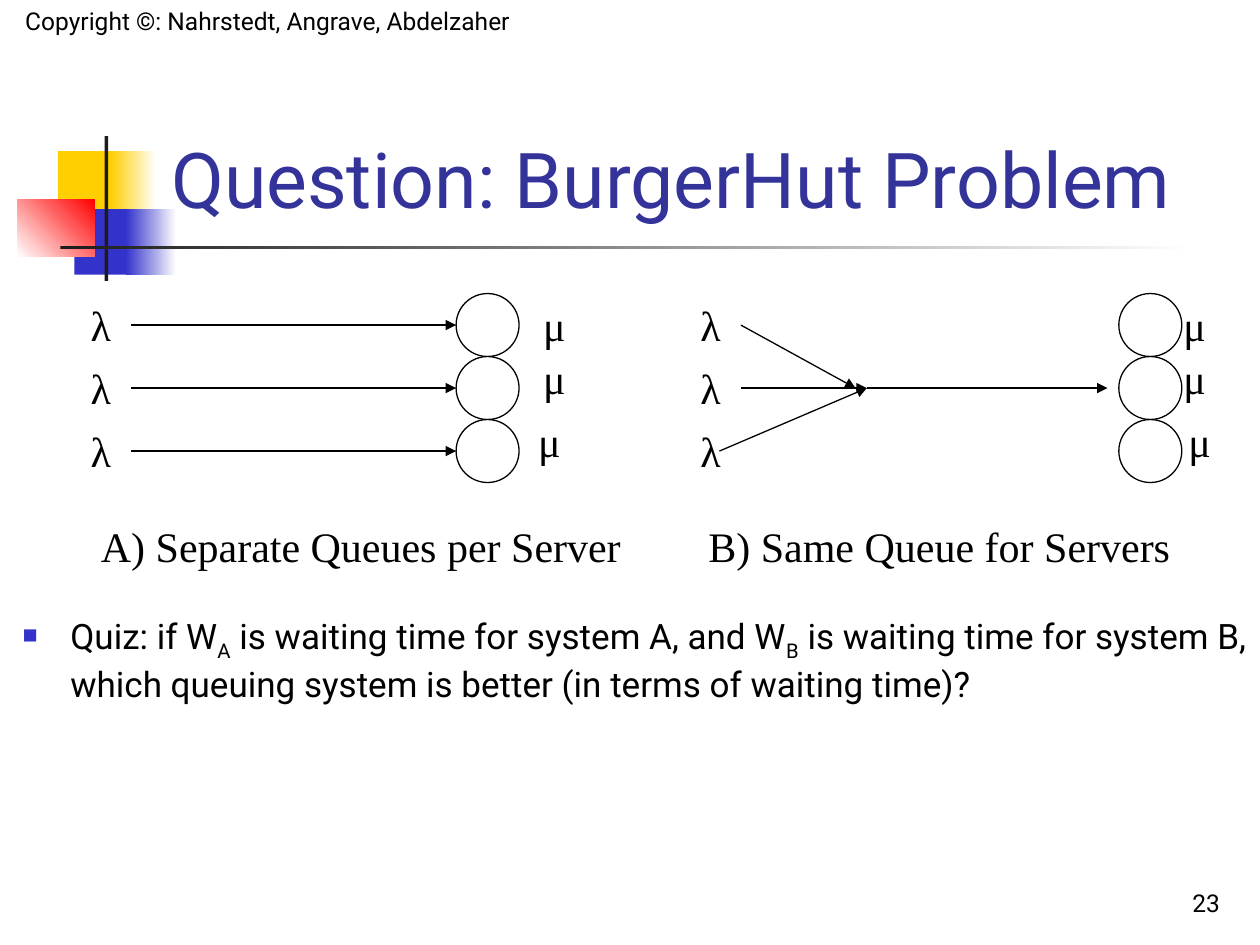
from lxml import etree
from pptx import Presentation
from pptx import util as u
from pptx.dml.color import RGBColor
from pptx.enum import shapes, text
from pptx.oxml.ns import qn

COLORS = {
    "black": "000000", "white": "FFFFFF", "bar": "1C1C1C", "title": "333399",
    "yellow": "FFCF01", "blue": "3333CC", "red": "FF0000",
}
SANS, SERIF = "Roboto", "Times New Roman"
LEFT, CENTER, RIGHT = (text.PP_ALIGN.LEFT, text.PP_ALIGN.CENTER,
                       text.PP_ALIGN.RIGHT)
TOP, BOTTOM = text.MSO_ANCHOR.TOP, text.MSO_ANCHOR.BOTTOM
ROWS = [2.58, 3.08, 3.58]
DIAMETER = 0.5


def rgb(name):
    return RGBColor.from_string(COLORS[name])


def inches(*values):
    return [u.Inches(v) for v in values]


def add_block(s, box, start, end=None, angle=0):
    sp = s.shapes.add_shape(shapes.MSO_SHAPE.RECTANGLE, *inches(*box))
    sp.shadow.inherit = False
    sp.line.fill.background()
    if end is None:
        sp.fill.solid()
        sp.fill.fore_color.rgb = rgb(start)
        return
    sp.fill.gradient()
    sp.fill.gradient_angle = angle
    for stop, name in zip(sp.fill.gradient_stops, (start, end)):
        stop.color.rgb = rgb(name)


def add_server(s, x, center_y):
    sp = s.shapes.add_shape(
        shapes.MSO_SHAPE.OVAL,
        *inches(x, center_y - DIAMETER / 2, DIAMETER, DIAMETER))
    sp.shadow.inherit = False
    sp.fill.solid()
    sp.fill.fore_color.rgb = rgb("white")
    sp.line.color.rgb = rgb("black")
    sp.line.width = u.Pt(0.75)


def add_arrow(s, start, end):
    cx = s.shapes.add_connector(shapes.MSO_CONNECTOR.STRAIGHT,
                                *inches(*start, *end))
    cx.line.color.rgb = rgb("black")
    cx.line.width = u.Pt(0.75)
    etree.SubElement(cx.line._get_or_add_ln(), qn("a:tailEnd"), type="triangle")
    etree.SubElement(cx._element.spPr, qn("a:effectLst"))


def add_run(p, content, size, font, color="black", baseline=0):
    r = p.add_run()
    r.text = content
    r.font.size = u.Pt(size)
    r.font.name = font
    r.font.color.rgb = rgb(color)
    if baseline:
        r._r.get_or_add_rPr().set("baseline", str(baseline * 1000))


def add_text(s, box, runs=(), size=24, font=SERIF, color="black",
             align=CENTER, anchor=TOP, wrap=True):
    tf = s.shapes.add_textbox(*inches(*box)).text_frame
    tf.word_wrap = wrap
    tf.vertical_anchor = anchor
    if not wrap:
        tf.auto_size = text.MSO_AUTO_SIZE.SHAPE_TO_FIT_TEXT
    p = tf.paragraphs[0]
    p.alignment = align
    for content, baseline in runs:
        add_run(p, content, size, font, color, baseline)
    return p


def add_label(s, content, x, y, width):
    add_text(s, (x, y, width, 0.5), [(content, 0)], wrap=False)


def add_bullet(p, char, color, percent, indent):
    pPr = p._p.get_or_add_pPr()
    pPr.set("marL", str(u.Inches(indent)))
    pPr.set("indent", str(-u.Inches(indent)))
    clr = etree.SubElement(pPr, qn("a:buClr"))
    etree.SubElement(clr, qn("a:srgbClr"), val=COLORS[color])
    etree.SubElement(pPr, qn("a:buSzPct"), val=str(percent * 1000))
    etree.SubElement(pPr, qn("a:buChar"), char=char)


def add_decoration(s):
    add_block(s, (0.46, 1.2, 0.48, 0.52), "yellow")
    add_block(s, (0.88, 1.2, 0.36, 0.52), "yellow", "white")
    add_block(s, (0.59, 1.66, 0.46, 0.52), "blue")
    add_block(s, (1, 1.66, 0.4, 0.52), "blue", "white")
    add_block(s, (0.14, 1.58, 0.61, 0.46), "white", "red", 45)
    add_block(s, (0.83, 1.08, 0.03, 1.15), "bar")
    add_block(s, (0.48, 1.95, 9, 0.03), "bar", "white")


def add_system(s, caption, caption_x, caption_width, lambda_x, server_x, mu_xs):
    for y in ROWS:
        add_server(s, server_x, y)
        add_label(s, "λ", lambda_x, y - 0.25, 0.36)
    for x, y in zip(mu_xs, (2.33, 2.75, 3.25)):
        add_label(s, "μ", x, y, 0.38)
    add_label(s, caption, caption_x, 4.08, caption_width)


def main():
    prs = Presentation()
    prs.slide_width, prs.slide_height = inches(10, 7.5)
    s = prs.slides.add_slide(prs.slide_layouts[6])

    add_decoration(s)
    add_text(s, (0, 0, 4.25, 0.33),
             [("Copyright ©: Nahrstedt, Angrave, Abdelzaher", 0)],
             14, SANS, anchor=BOTTOM)
    add_text(s, (7.7, 6.83, 2.08, 0.5), [("23", 0)], 14, SANS,
             align=RIGHT, anchor=BOTTOM)
    add_text(s, (1.26, 0.23, 8.52, 1.6), [("Question: BurgerHut Problem", 0)],
             44, SANS, "title", LEFT, BOTTOM)

    for y in ROWS:
        add_arrow(s, (1.04, y), (3.62, y))
    top, middle, bottom = ROWS
    merge = (6.88, middle)
    add_arrow(s, merge, (8.79, middle))
    add_arrow(s, (5.88, top), (6.79, middle))
    add_arrow(s, (5.88, middle), merge)
    add_arrow(s, (5.71, bottom), merge)

    add_system(s, "A) Separate Queues per Server", 0.7, 4.33,
               0.62, 3.62, (4.21, 4.21, 4.17))
    add_system(s, "B) Same Queue for Servers", 5.52, 3.87,
               5.46, 8.88, (9.29, 9.29, 9.33))

    p = add_text(s, (0.08, 4.83, 9.92, 1), align=LEFT)
    add_bullet(p, "■", "blue", 60, 0.38)
    for content, baseline in [
        ("Quiz: if W", 0), ("A", -25),
        (" is waiting time for system A, and W", 0), ("B", -25),
        (" is waiting time for system B, which queuing system is better "
         "(in terms of waiting time)?", 0),
    ]:
        add_run(p, content, 20, SANS, baseline=baseline)

    prs.save("out.pptx")


if __name__ == "__main__":
    main()
